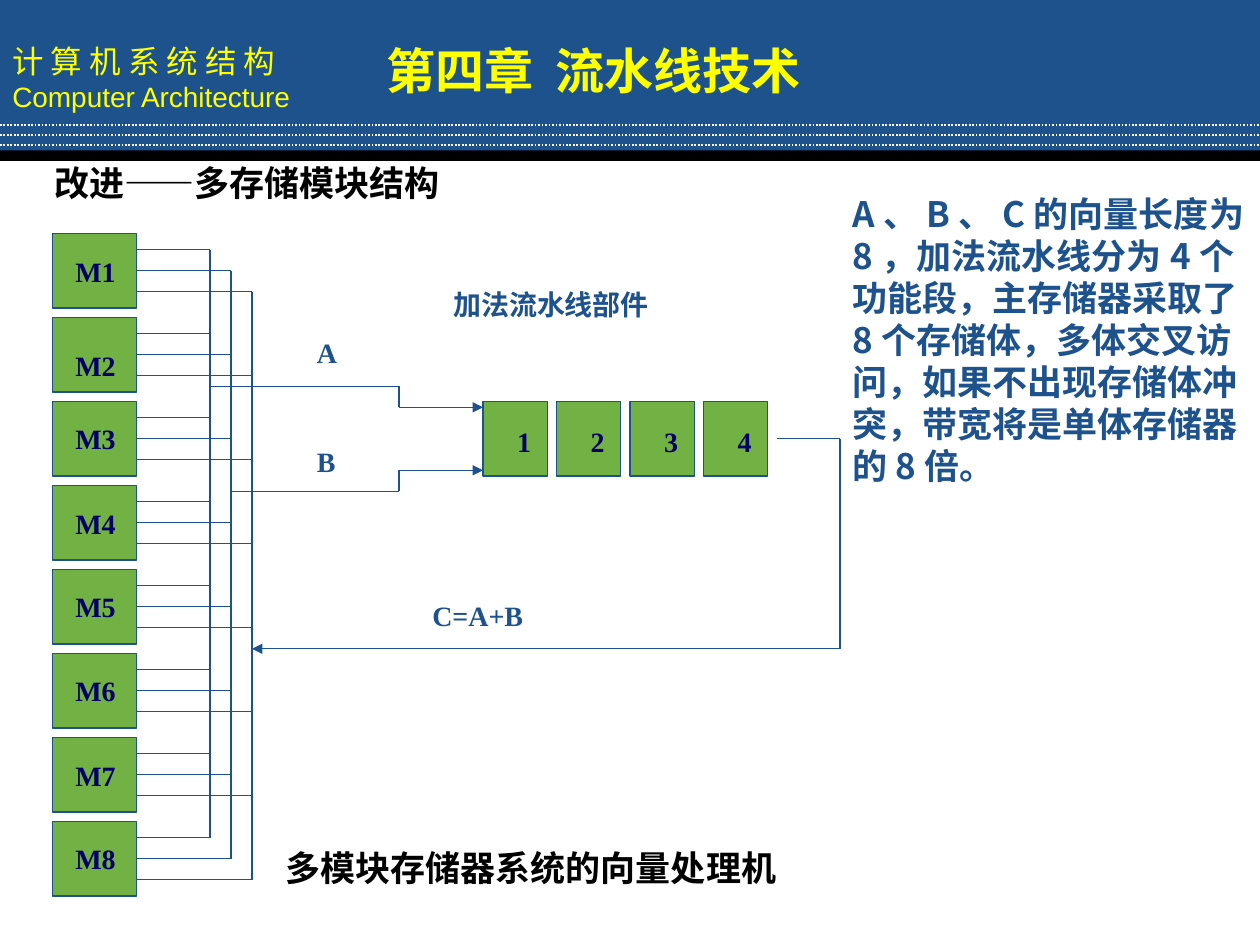
import itertools

import lxml.etree
import pptx
import pptx.dml.color
import pptx.enum.dml
import pptx.enum.shapes
import pptx.enum.text
import pptx.oxml.ns
import pptx.util

Pt = pptx.util.Pt
qn = pptx.oxml.ns.qn
ANCHOR = pptx.enum.text.MSO_ANCHOR
ALIGN = pptx.enum.text.PP_ALIGN

BLUE, GREEN, NAVY = "1D528D", "72B143", "000066"
YELLOW, BLACK, WHITE = "FFFF00", "000000", "FFFFFF"
SERIF, SANS, CHINESE = "Times New Roman", "Arial", "Noto Sans CJK SC"


def color(value):
    return pptx.dml.color.RGBColor.from_string(value)


def format_paragraph(paragraph, size, font, fill, bold=True, align=ALIGN.LEFT):
    paragraph.alignment = align
    paragraph.space_before = Pt(0)
    paragraph.line_spacing = Pt(round(size * 1.2, 1))
    paragraph.font.size = Pt(size)
    paragraph.font.bold = bold
    paragraph.font.name = font
    paragraph.font.color.rgb = color(fill)
    properties = paragraph._p.pPr.find(qn("a:defRPr"))
    lxml.etree.SubElement(properties, qn("a:ea")).set("typeface", CHINESE)


def add_text(slide, box, text, size, fill, font=SERIF):
    shape = slide.shapes.add_textbox(*map(Pt, box))
    shape.text_frame.word_wrap = True
    paragraph = shape.text_frame.paragraphs[0]
    paragraph.text = text
    format_paragraph(paragraph, size, font, fill)
    return paragraph


def add_box(slide, box, fill, outline=None):
    shape = slide.shapes.add_shape(
        pptx.enum.shapes.MSO_SHAPE.RECTANGLE, *map(Pt, box))
    shape.shadow.inherit = False
    shape.fill.solid()
    shape.fill.fore_color.rgb = color(fill)
    if outline:
        shape.line.color.rgb = color(outline)
        shape.line.width = Pt(0.75)
    else:
        shape.line.fill.background()
    return shape


def add_block(slide, box, text, left_inset, top_inset):
    """Add a green unit of the machine with its label."""
    shape = add_box(slide, box, GREEN, BLUE)
    frame = shape.text_frame
    frame.word_wrap = True
    frame.vertical_anchor = ANCHOR.MIDDLE
    frame.margin_left, frame.margin_top = Pt(left_inset), Pt(top_inset)
    frame.margin_right = frame.margin_bottom = 0
    frame.text = text
    format_paragraph(frame.paragraphs[0], 16, SERIF, NAVY)
    return shape


def add_line(slide, start, end, stroke=BLUE, width=0.75):
    line = slide.shapes.add_connector(
        pptx.enum.shapes.MSO_CONNECTOR.STRAIGHT, *map(Pt, (*start, *end)))
    line.line.color.rgb = color(stroke)
    line.line.width = Pt(width)
    lxml.etree.SubElement(line._element.spPr, qn("a:effectLst"))
    return line


def add_route(slide, points):
    """Join the points with straight lines, the last one an arrow."""
    for start, end in itertools.pairwise(points):
        line = add_line(slide, start, end)
    outline = line._element.spPr.find(qn("a:ln"))
    lxml.etree.SubElement(outline, qn("a:tailEnd")).set("type", "triangle")


def add_header(slide, box):
    left, top, width, height = box
    band = add_box(slide, box, BLUE)
    frame = band.text_frame
    frame.word_wrap = True
    frame.vertical_anchor = ANCHOR.MIDDLE
    frame.text = "计 算 机 系 统 结 构\nComputer Architecture"
    for paragraph, size, font in zip(frame.paragraphs, (18, 16), (CHINESE, SANS)):
        format_paragraph(paragraph, size, font, YELLOW, bold=False)
    add_box(slide, (left, top + height - 2.5, width, 6), BLACK)
    for index in range(3):
        y = top + 71.25 + 5.75 * index
        line = add_line(slide, (left, y), (left + width, y), WHITE, 1)
        line.line.dash_style = pptx.enum.dml.MSO_LINE.ROUND_DOT

    title = slide.shapes.title
    slide.shapes._spTree.append(title._element)
    title.left, title.top = Pt(left + 204), Pt(top + 19.5)
    title.width, title.height = Pt(270), Pt(41)
    title.text_frame.vertical_anchor = ANCHOR.TOP
    title.text_frame.text = "第四章  流水线技术"
    format_paragraph(title.text_frame.paragraphs[0], 28, CHINESE, YELLOW,
                     align=ALIGN.CENTER)


def add_memory(slide, box, buses):
    """Stack eight modules in the box, each wired to the three buses."""
    left, top, width, height = box
    count, pitch = 8, 48
    module_height = height - (count - 1) * pitch
    first_wire, wire_gap = top + module_height / 2 - 12, 12
    for index in range(count):
        y = top + index * pitch
        module = add_block(slide, (left, y, width, module_height),
                           f"M{index + 1}", 13, 12 if index == 1 else 0)
        for wire, bus in enumerate(buses):
            wire_y = first_wire + index * pitch + wire * wire_gap
            line = add_line(slide, (left + width, wire_y), (bus, wire_y))
            if wire == 1:
                line.begin_connect(module, 3)
    for wire, bus in enumerate(buses):
        y = first_wire + wire * wire_gap
        add_line(slide, (bus, y), (bus, y + (count - 1) * pitch))


def add_pipeline(slide, box, buses):
    """Place the four adder stages in the box and route A, B and C."""
    left, top, width, height = box
    count, pitch = 4, 42
    for index in range(count):
        add_block(slide,
                  (left + index * pitch, top, width - (count - 1) * pitch, height),
                  str(index + 1), 19.5, 3)
    bus_a, bus_b, bus_c = buses
    bend, turn = left - 48, left + 204
    input_a, input_b = top + 3.25, top + 39.25
    output, result = top + 21.25, top + 141.25
    add_route(slide, [(bus_a, input_a - 12), (bend, input_a - 12),
                      (bend, input_a), (left, input_a)])
    add_route(slide, [(bus_b, input_b + 12), (bend, input_b + 12),
                      (bend, input_b), (left, input_b)])
    add_route(slide, [(left + 168, output), (turn, output),
                      (turn, result), (bus_c, result)])
    for x, y, label_width, text in (
            (174, 188, 36, "A"), (174, 250.5, 36, "B"),
            (240, 338.5, 138, "C=A+B"), (252, 160.5, 210, "加法流水线部件")):
        add_text(slide, (x, y, label_width, 26.5), text, 16, BLUE)


def add_captions(slide):
    heading = add_text(slide, (24, 88.5, 252, 31.5), "", 20, BLACK)
    for text, font in (("改进", SERIF), ("——", CHINESE), ("多存储模块结构", SERIF)):
        run = heading.add_run()
        run.text = text
        run.font.name = font
    add_text(slide, (156, 480, 348, 31.5), "多模块存储器系统的向量处理机", 20, BLACK)
    add_text(slide, (480, 106.5, 240, 175.5),
             "A、B、C的向量长度为8，加法流水线分为4个功能段，主存储器采取了"
             "8个存储体，多体交叉访问，如果不出现存储体冲突，带宽将是单体存储器的8倍。",
             20, BLUE, CHINESE)


def main():
    presentation = pptx.Presentation()
    presentation.slide_width, presentation.slide_height = Pt(720), Pt(540)
    slide = presentation.slides.add_slide(presentation.slide_layouts[5])
    buses = (120, 132, 144)
    add_header(slide, (0, 0, 720, 88.5))
    add_memory(slide, (30, 133.5, 48, 378.5), buses)
    add_pipeline(slide, (276, 229.5, 162.75, 42.5), buses)
    add_captions(slide)
    presentation.save("out.pptx")


if __name__ == "__main__":
    main()
